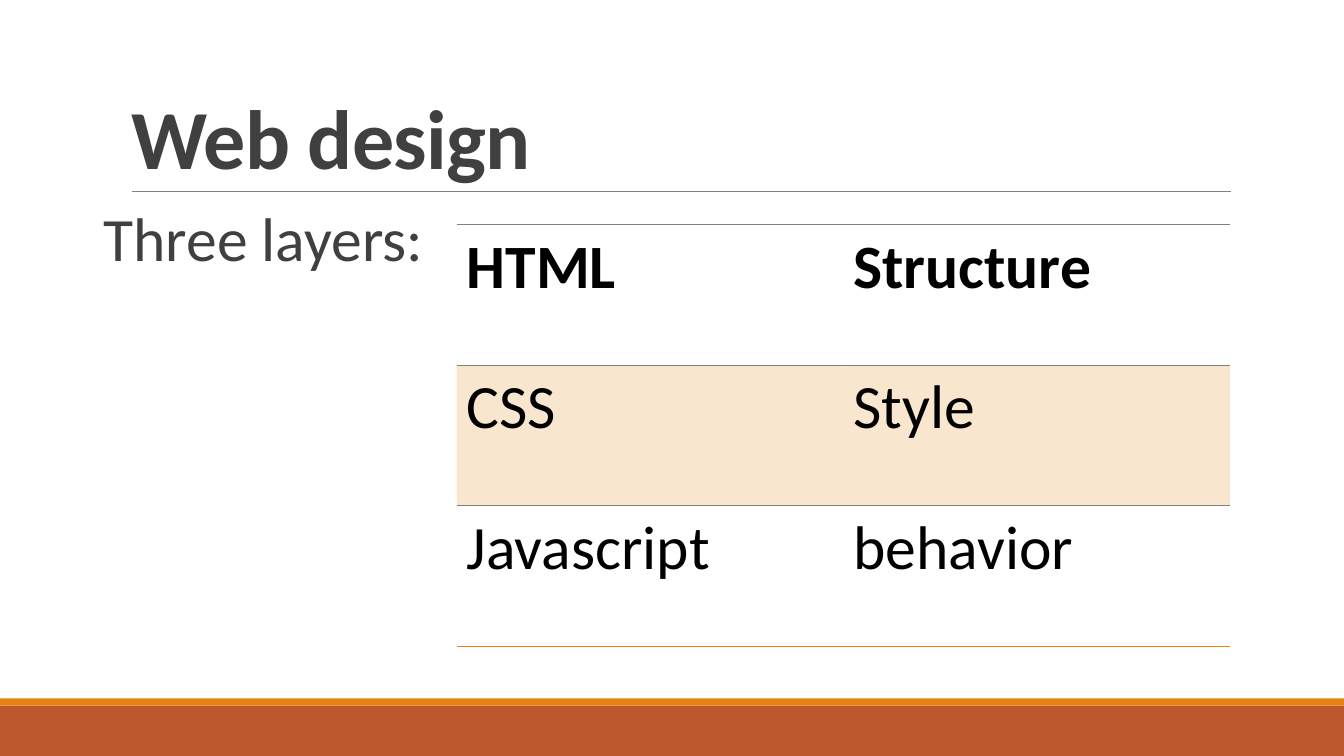
"""Build the "Web design" slide with its table of three layers."""
from dataclasses import dataclass
from typing import NamedTuple, Optional

from lxml.etree import SubElement
from pptx import Presentation
from pptx.dml.color import RGBColor
from pptx.enum.shapes import MSO_CONNECTOR as Connector, MSO_SHAPE as Shape
from pptx.enum.text import MSO_ANCHOR as Anchor, MSO_AUTO_SIZE as AutoSize, PP_ALIGN as Align
from pptx.oxml.ns import qn
from pptx.util import Inches, Pt


@dataclass(frozen=True)
class Theme:
    font: str = "Calibri"
    title_size: float = 60
    body_size: float = 44
    text: str = "404040"
    table_text: str = "000000"
    rule: str = "808080"
    accent: str = "E48312"
    footer: str = "BD582C"
    band_alpha: int = 20000


class Box(NamedTuple):
    left: float
    top: float
    width: float
    height: float


class Band(NamedTuple):
    box: Box
    color: str


class Border(NamedTuple):
    color: str
    width: float


class Layer(NamedTuple):
    name: str
    role: str
    bold: bool = False
    banded: bool = False
    top: Optional[Border] = None
    bottom: Optional[Border] = None


THEME = Theme()
THIN = Border(THEME.rule, 0.5)
BANDS = (
    Band(Box(0, 7, 13.33, 0.5), THEME.footer),
    Band(Box(0, 6.93, 13.33, 0.07), THEME.accent),
)
LAYERS = (
    Layer("HTML", "Structure", bold=True, top=THIN, bottom=THIN),
    Layer("CSS", "Style", banded=True, top=THIN),
    Layer("Javascript", "behavior", bottom=Border(THEME.accent, 1)),
)
TITLE_BOX = Box(1.2, 0.31, 11, 1.59)
BODY_BOX = Box(0.89, 2.02, 11.31, 4.4)
TABLE_BOX = Box(4.53, 2.23, 7.67, 4.18)


def rgb(color: str) -> RGBColor:
    return RGBColor.from_string(color)


def inches(box: Box) -> list:
    return [Inches(length) for length in box]


def style_text(para, size: float, color: str, bold: bool = False) -> None:
    for span in para.runs:
        font = span.font
        font.name, font.size, font.bold = THEME.font, Pt(size), bold
        font.color.rgb = rgb(color)


def draw_band(slide, band: Band) -> None:
    shape = slide.shapes.add_shape(Shape.RECTANGLE, *inches(band.box))
    shape.shadow.inherit = False
    shape.fill.solid()
    shape.fill.fore_color.rgb = rgb(band.color)
    shape.line.fill.background()


def draw_rule(slide) -> None:
    rule = slide.shapes.add_connector(
        Connector.STRAIGHT, Inches(1.31), Inches(1.9), Inches(12.21), Inches(1.9))
    rule.line.color.rgb = rgb(THEME.rule)
    rule.line.width = Pt(0.5)
    SubElement(rule._element.spPr, qn("a:effectLst"))


def fill_placeholder(holder, box: Box, text: str, anchor: Anchor):
    holder.left, holder.top, holder.width, holder.height = inches(box)
    frame = holder.text_frame
    frame.text = text
    frame.word_wrap = True
    frame.auto_size = AutoSize.NONE
    frame.vertical_anchor = anchor
    para = frame.paragraphs[0]
    para.alignment = Align.LEFT
    return para


def write_title(slide) -> None:
    para = fill_placeholder(slide.shapes.title, TITLE_BOX, "Web design", Anchor.BOTTOM)
    para.line_spacing = 0.85
    style_text(para, THEME.title_size, THEME.text, bold=True)
    para.runs[0].font._element.set("spc", "-50")


def write_body(slide) -> None:
    body = slide.placeholders[1]
    para = fill_placeholder(body, BODY_BOX, "Three layers:", Anchor.TOP)
    body.text_frame.margin_left = body.text_frame.margin_right = 0
    para.line_spacing = 0.9
    para.space_before, para.space_after = Pt(0), Pt(2)
    props = para._p.get_or_add_pPr()
    props.set("marL", str(Inches(0.1)))
    props.set("indent", str(Inches(-0.1)))
    bullet_color = SubElement(props, qn("a:buClr"))
    SubElement(bullet_color, qn("a:srgbClr"), val=THEME.accent)
    SubElement(props, qn("a:buFont"), typeface=THEME.font)
    SubElement(props, qn("a:buChar"), char=" ")
    style_text(para, THEME.body_size, THEME.text)


def add_border(cell, tag: str, border: Border) -> None:
    line = SubElement(cell._tc.get_or_add_tcPr(), qn(tag), w=str(Pt(border.width)))
    fill = SubElement(line, qn("a:solidFill"))
    SubElement(fill, qn("a:srgbClr"), val=border.color)


def format_cell(cell, text: str, layer: Layer) -> None:
    cell.text_frame.text = text
    style_text(cell.text_frame.paragraphs[0], THEME.body_size, THEME.table_text, layer.bold)
    for tag, border in (("a:lnT", layer.top), ("a:lnB", layer.bottom)):
        if border:
            add_border(cell, tag, border)
    if layer.banded:
        cell.fill.solid()
        cell.fill.fore_color.rgb = rgb(THEME.accent)
        color = cell._tc.tcPr.find(".//" + qn("a:solidFill") + "[last()]/" + qn("a:srgbClr"))
        for color in cell._tc.tcPr.findall(qn("a:solidFill") + "/" + qn("a:srgbClr")):
            SubElement(color, qn("a:alpha"), val=str(THEME.band_alpha))
    else:
        cell.fill.background()


def draw_table(slide) -> None:
    table = slide.shapes.add_table(len(LAYERS), 2, *inches(TABLE_BOX)).table
    table.first_row = table.horz_banding = False
    style = table._tbl.tblPr.find(qn("a:tableStyleId"))
    style.text = "{2D5ABB26-0587-4C30-8999-92F81FD0307C}"
    for row, layer in zip(table.rows, LAYERS):
        for cell, text in zip(row.cells, (layer.name, layer.role)):
            format_cell(cell, text, layer)


def main() -> None:
    deck = Presentation()
    deck.slide_width, deck.slide_height = Inches(13.33), Inches(7.5)
    page = deck.slides.add_slide(deck.slide_layouts[1])
    for band in BANDS:
        draw_band(page, band)
    draw_rule(page)
    write_title(page)
    write_body(page)
    draw_table(page)
    deck.save("out.pptx")


if __name__ == "__main__":
    main()
